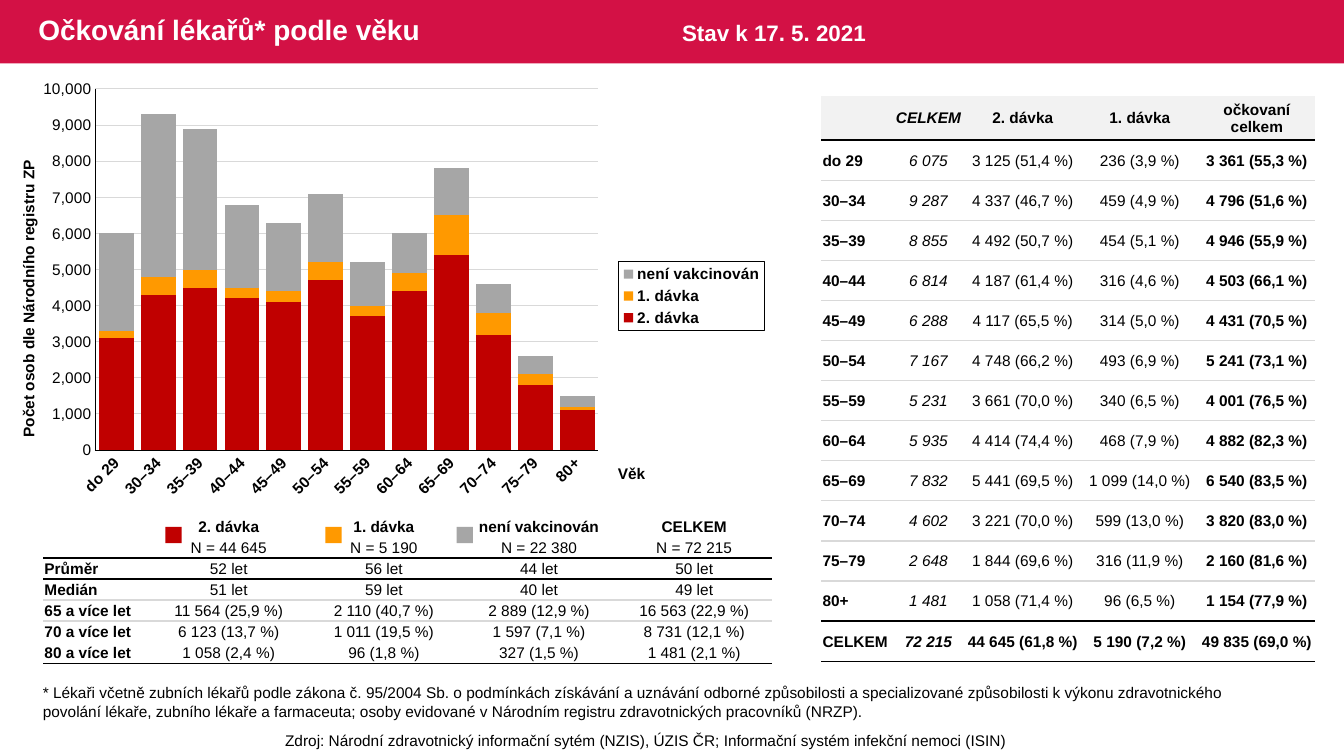
from lxml.etree import SubElement
from pptx import Presentation
from pptx.chart.data import CategoryChartData
from pptx.dml.color import RGBColor
from pptx.enum.chart import XL_CHART_TYPE as CT, XL_LEGEND_POSITION as LP, XL_TICK_MARK as TM
from pptx.enum.shapes import MSO_SHAPE
from pptx.enum.text import MSO_ANCHOR, MSO_AUTO_SIZE, PP_ALIGN
from pptx.oxml import parse_xml
from pptx.oxml.ns import nsdecls, qn
from pptx.util import Cm, Pt

CRIMSON = RGBColor(0xD3, 0x11, 0x45)
RED = RGBColor(0xC0, 0x00, 0x00)
ORANGE = RGBColor(0xFF, 0x99, 0x00)
GREY = RGBColor(0xA6, 0xA6, 0xA6)
LIGHT = RGBColor(0xD9, 0xD9, 0xD9)
PALE = RGBColor(0xF2, 0xF2, 0xF2)
BLACK = RGBColor(0, 0, 0)
WHITE = RGBColor(0xFF, 0xFF, 0xFF)
NO_STYLE = "{2D5ABB26-0587-4C30-8999-92F81FD0307C}"

DOSES = [
    ("2. dávka", RED, [3100, 4300, 4500, 4200, 4100, 4700, 3700, 4400, 5400, 3200, 1800, 1100]),
    ("1. dávka", ORANGE, [200, 500, 500, 300, 300, 500, 300, 500, 1100, 600, 300, 100]),
    ("není vakcinován", GREY, [2700, 4500, 3900, 2300, 1900, 1900, 1200, 1100, 1300, 800, 500, 300]),
]
SUMMARY = [
    ["", "2. dávka", "1. dávka", "není vakcinován", "CELKEM"],
    ["", "N = 44 645", "N = 5 190", "N = 22 380", "N = 72 215"],
    ["Průměr", "52 let", "56 let", "44 let", "50 let"],
    ["Medián", "51 let", "59 let", "40 let", "49 let"],
    ["65 a více let", "11 564 (25,9 %)", "2 110 (40,7 %)", "2 889 (12,9 %)", "16 563 (22,9 %)"],
    ["70 a více let", "6 123 (13,7 %)", "1 011 (19,5 %)", "1 597 (7,1 %)", "8 731 (12,1 %)"],
    ["80 a více let", "1 058 (2,4 %)", "96 (1,8 %)", "327 (1,5 %)", "1 481 (2,1 %)"],
]
AGES = [
    ["", "CELKEM", "2. dávka", "1. dávka", "očkovaní celkem"],
    ["do 29", "6 075", "3 125 (51,4 %)", "236 (3,9 %)", "3 361 (55,3 %)"],
    ["30–34", "9 287", "4 337 (46,7 %)", "459 (4,9 %)", "4 796 (51,6 %)"],
    ["35–39", "8 855", "4 492 (50,7 %)", "454 (5,1 %)", "4 946 (55,9 %)"],
    ["40–44", "6 814", "4 187 (61,4 %)", "316 (4,6 %)", "4 503 (66,1 %)"],
    ["45–49", "6 288", "4 117 (65,5 %)", "314 (5,0 %)", "4 431 (70,5 %)"],
    ["50–54", "7 167", "4 748 (66,2 %)", "493 (6,9 %)", "5 241 (73,1 %)"],
    ["55–59", "5 231", "3 661 (70,0 %)", "340 (6,5 %)", "4 001 (76,5 %)"],
    ["60–64", "5 935", "4 414 (74,4 %)", "468 (7,9 %)", "4 882 (82,3 %)"],
    ["65–69", "7 832", "5 441 (69,5 %)", "1 099 (14,0 %)", "6 540 (83,5 %)"],
    ["70–74", "4 602", "3 221 (70,0 %)", "599 (13,0 %)", "3 820 (83,0 %)"],
    ["75–79", "2 648", "1 844 (69,6 %)", "316 (11,9 %)", "2 160 (81,6 %)"],
    ["80+", "1 481", "1 058 (71,4 %)", "96 (6,5 %)", "1 154 (77,9 %)"],
    ["CELKEM", "72 215", "44 645 (61,8 %)", "5 190 (7,2 %)", "49 835 (69,0 %)"],
]


class Deck:
    font = "Arial"
    size = 11

    def __init__(self, prs):
        self.s = prs.slides.add_slide(prs.slide_layouts[5])

    def style(self, font, size=None, color=BLACK, bold=False, italic=False):
        font.name, font.size = self.font, Pt(size or self.size)
        font.bold, font.italic = bold, italic
        font.color.rgb = color

    def run(self, p, text, align=PP_ALIGN.LEFT, **look):
        p.alignment = align
        r = p.add_run()
        r.text = text
        self.style(r.font, **look)

    def rect(self, x, y, w, h, color):
        sp = self.s.shapes.add_shape(MSO_SHAPE.RECTANGLE, Cm(x), Cm(y), Cm(w), Cm(h))
        sp.shadow.inherit = False
        sp.fill.solid()
        sp.fill.fore_color.rgb = color
        sp.line.fill.background()
        return sp

    def title(self, text, x, y, w, h):
        sp = self.s.shapes.title
        sp.left, sp.top, sp.width, sp.height = Cm(x), Cm(y), Cm(w), Cm(h)
        tf = sp.text_frame
        tf.auto_size = MSO_AUTO_SIZE.NONE
        tf.vertical_anchor = MSO_ANCHOR.MIDDLE
        tf.paragraphs[0].line_spacing = 0.9
        self.run(tf.paragraphs[0], text, size=20, color=WHITE, bold=True)

    def text(self, text, x, y, w, h, wrap=True, rotation=0, **look):
        sp = self.s.shapes.add_textbox(Cm(x), Cm(y), Cm(w), Cm(h))
        sp.rotation = rotation
        tf = sp.text_frame
        tf.word_wrap = wrap
        tf.auto_size = MSO_AUTO_SIZE.SHAPE_TO_FIT_TEXT
        self.run(tf.paragraphs[0], text, **look)

    def border(self, cell, side, color):
        cell._tc.get_or_add_tcPr().insert(0, parse_xml(
            f'<a:{side} {nsdecls("a")} w="12700"><a:solidFill><a:srgbClr val="{color}"/>'
            f'</a:solidFill></a:{side}>'))

    def table(self, rows, x, y, widths, heights, rules, look, header=None):
        frame = self.s.shapes.add_table(len(rows), len(widths), Cm(x), Cm(y),
                                        Cm(sum(widths)), Cm(sum(heights)))
        tbl = frame.table
        tbl.first_row = tbl.horz_banding = False
        tbl._tbl.tblPr.find(qn("a:tableStyleId")).text = NO_STYLE
        for col, w in zip(tbl.columns, widths):
            col.width = Cm(w)
        for i, (row, h) in enumerate(zip(rows, heights)):
            tbl.rows[i].height = Cm(h)
            for j, text in enumerate(row):
                cell = tbl.cell(i, j)
                cell.vertical_anchor = MSO_ANCHOR.MIDDLE
                cell.margin_left = cell.margin_right = cell.margin_top = Cm(0.03)
                cell.margin_bottom = 0
                if header and i == 0:
                    cell.fill.solid()
                    cell.fill.fore_color.rgb = header
                else:
                    cell.fill.background()
                for side, edge in (("lnB", i + 1), ("lnT", i)):
                    if edge in rules:
                        self.border(cell, side, rules[edge])
                p = cell.text_frame.paragraphs[0]
                if text:
                    self.run(p, text, PP_ALIGN.CENTER if j else PP_ALIGN.LEFT, **look(i, j))
                else:
                    SubElement(p._p, qn("a:endParaRPr"), sz=str(self.size * 100))

    def chart(self, cats, series, x, y, w, h, plot_area):
        data = CategoryChartData(number_format="#,##0")
        data.categories = cats
        for name, _, values in series:
            data.add_series(name, values)
        chart = self.s.shapes.add_chart(CT.COLUMN_STACKED, Cm(x), Cm(y), Cm(w), Cm(h), data).chart
        chart.has_title = False
        self.style(chart.font, bold=True)
        plot = chart.plots[0]
        plot.gap_width, plot.overlap, plot.vary_by_categories = 20, 100, False
        for ser, (_, color, _) in zip(plot.series, series):
            ser.format.fill.solid()
            ser.format.fill.fore_color.rgb = color
        cat, val = chart.category_axis, chart.value_axis
        for axis in (cat, val):
            axis.major_tick_mark = axis.minor_tick_mark = TM.NONE
            self.style(axis.tick_labels.font, bold=axis is cat)
            axis.format.line.color.rgb = BLACK
            axis.format.line.width = Pt(0.75)
        cat._element.find(qn("c:txPr")).find(qn("a:bodyPr")).set("rot", "-2700000")
        val.minimum_scale, val.maximum_scale, val.major_unit = 0, 10000, 1000
        val.tick_labels.number_format = "#,##0"
        val.tick_labels.number_format_is_linked = False
        val.major_gridlines.format.line.color.rgb = LIGHT
        val.major_gridlines.format.line.width = Pt(0.75)
        chart.has_legend = True
        legend = chart.legend
        legend.position, legend.include_in_layout = LP.RIGHT, False
        self.style(legend.font, bold=True)
        legend._element.find(qn("c:txPr")).addprevious(parse_xml(
            f'<c:spPr {nsdecls("c", "a")}><a:ln w="9525"><a:solidFill><a:srgbClr val="{BLACK}"/>'
            '</a:solidFill></a:ln></c:spPr>'))
        area = chart._chartSpace.chart.plotArea
        for old in area.findall(qn("c:layout")):
            area.remove(old)
        sizes = "".join(f'<c:{k} val="{v}"/>' for k, v in zip("xywh", plot_area))
        area.insert(0, parse_xml(
            f'<c:layout {nsdecls("c")}><c:manualLayout><c:layoutTarget val="inner"/>'
            f'<c:xMode val="edge"/><c:yMode val="edge"/>{sizes}</c:manualLayout></c:layout>'))


def summary_look(i, j):
    return {"bold": i == 0 or j == 0}


def ages_look(i, j):
    return {"bold": i in (0, len(AGES) - 1) or j in (0, 4), "italic": j == 1}


def main():
    prs = Presentation()
    prs.slide_width, prs.slide_height = Cm(33.87), Cm(19.05)
    deck = Deck(prs)
    band = deck.rect(0, 0, 33.87, 1.6, CRIMSON)
    deck.s.shapes._spTree.insert(2, band._element)
    deck.title("Očkování lékařů* podle věku", 0.71, 0, 20.65, 1.6)
    deck.text("Zdroj: Národní zdravotnický informační sytém (NZIS), ÚZIS ČR; "
              "Informační systém infekční nemoci (ISIN)", 4.78, 18.29, 23.01, 0.73,
              align=PP_ALIGN.CENTER)
    deck.text("Stav k 17. 5. 2021", 16.94, 0.36, 5.59, 0.94, size=16, color=WHITE, bold=True)
    deck.text("* Lékaři včetně zubních lékařů podle zákona č. 95/2004 Sb. o podmínkách získávání "
              "a uznávání odborné způsobilosti a specializované způsobilosti k výkonu "
              "zdravotnického povolání lékaře, zubního lékaře a farmaceuta; osoby evidované "
              "v Národním registru zdravotnických pracovníků (NRZP).", 0.83, 17.09, 31.83, 1.19)
    deck.chart([row[0] for row in AGES[1:-1]], DOSES, 1.09, 1.91, 18.39, 11.1,
               (0.07, 0.03, 0.69, 0.82))
    deck.text("Počet osob dle Národního registru ZP", -3.05, 7.14, 7.54, 0.73,
              wrap=False, rotation=270, bold=True)
    deck.text("Věk", 15.32, 11.56, 1.22, 0.73, wrap=False, bold=True)
    deck.table(SUMMARY, 1.09, 13, [2.72] + [3.91] * 4, [0.53] * len(SUMMARY),
               {2: BLACK, 4: LIGHT, 7: BLACK}, summary_look)
    for x, (_, color, _) in zip((4.17, 8.2, 11.51), DOSES):
        deck.rect(x, 13.28, 0.41, 0.41, color)
    rules = {edge: LIGHT for edge in range(2, 13)} | {1: BLACK, 13: BLACK, 14: BLACK}
    deck.table(AGES, 20.7, 2.41, [1.8] * 2 + [2.95] * 3, [1.12] + [1.01] * 13,
               rules, ages_look, header=PALE)
    prs.save("out.pptx")


if __name__ == "__main__":
    main()
